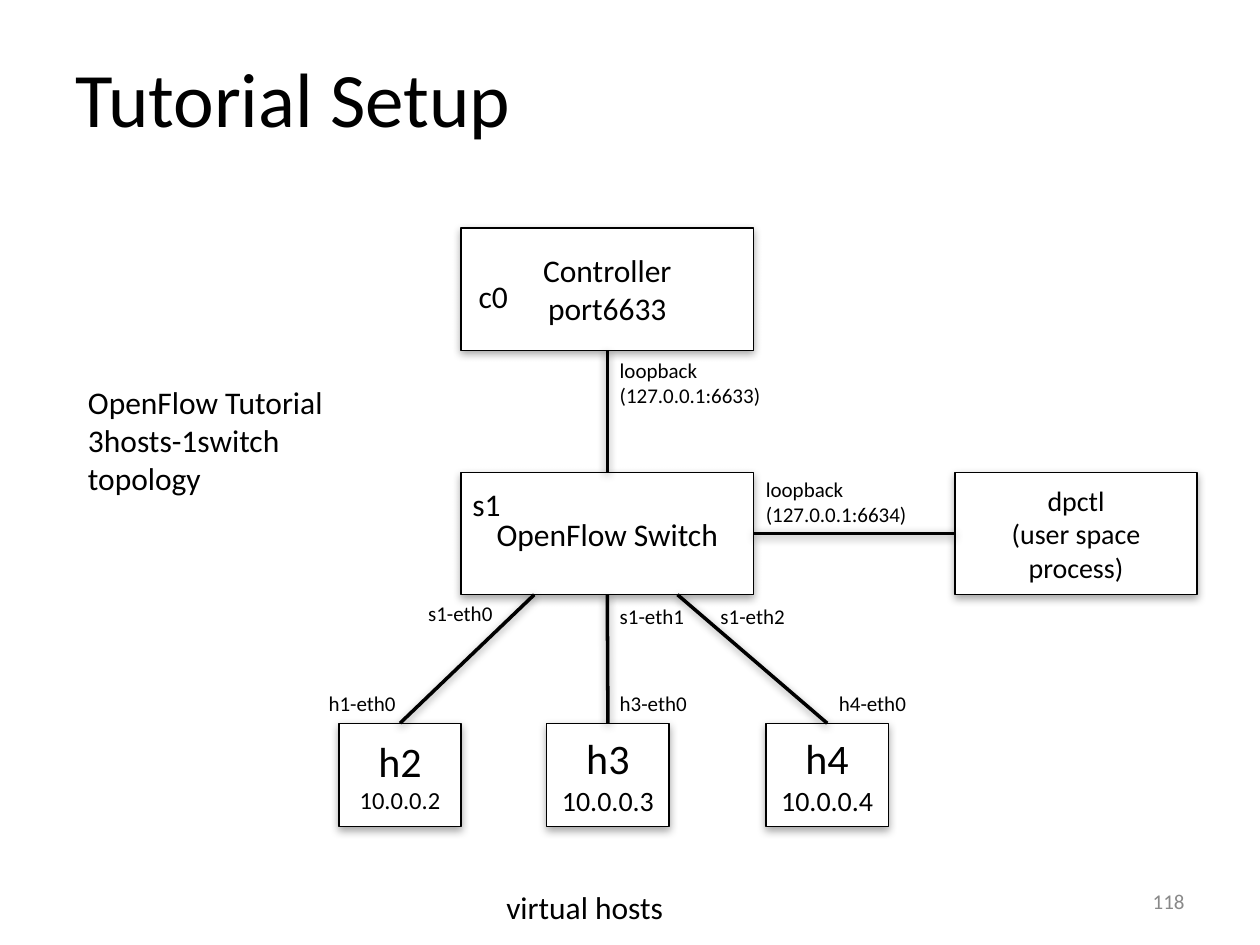
from dataclasses import dataclass

from lxml import etree
from pptx import Presentation
from pptx.dml.color import RGBColor
from pptx.enum.shapes import MSO_CONNECTOR, MSO_SHAPE
from pptx.enum.text import MSO_ANCHOR, PP_ALIGN
from pptx.oxml.ns import qn
from pptx.util import Inches, Pt

RECTANGLE, STRAIGHT = MSO_SHAPE.RECTANGLE, MSO_CONNECTOR.STRAIGHT
LEFT, CENTER, RIGHT = PP_ALIGN.LEFT, PP_ALIGN.CENTER, PP_ALIGN.RIGHT
TOP, MIDDLE = MSO_ANCHOR.TOP, MSO_ANCHOR.MIDDLE

# The slide is a grid of 100 columns by 75 rows
COLUMNS, ROWS = 100, 75
SLIDE_WIDTH, SLIDE_HEIGHT = Inches(10), Inches(7.5)
FONT = "Calibri"
BLACK, WHITE, GRAY = "000000", "FFFFFF", "898989"


@dataclass(frozen=True)
class Line:
    text: str
    size: int


@dataclass(frozen=True)
class Node:
    col: float
    row: float
    cols: float
    rows: float
    lines: tuple[Line, ...]

    def point(self, across: float, down: float) -> tuple[float, float]:
        return self.col + across * self.cols, self.row + down * self.rows


@dataclass(frozen=True)
class Label:
    col: float
    row: float
    cols: float
    rows: float
    lines: tuple[Line, ...]
    color: str = BLACK
    align: PP_ALIGN = LEFT
    anchor: MSO_ANCHOR = TOP


def x(cols: float) -> int:
    return round(SLIDE_WIDTH * cols / COLUMNS)


def y(rows: float) -> int:
    return round(SLIDE_HEIGHT * rows / ROWS)


def rgb(color: str) -> RGBColor:
    return RGBColor.from_string(color)


def lines(size: int, *texts: str) -> tuple[Line, ...]:
    return tuple(Line(text, size) for text in texts)


def add_shadow(shape, distance: float, opacity: int) -> None:
    properties = shape._element.spPr
    effects = etree.SubElement(properties, qn("a:effectLst"))
    shadow = etree.SubElement(
        effects, qn("a:outerShdw"), blurRad=str(Pt(5)),
        dist=str(Pt(distance)), dir="5400000", rotWithShape="0")
    color = etree.SubElement(shadow, qn("a:srgbClr"), val=BLACK)
    etree.SubElement(color, qn("a:alpha"), val=str(opacity * 1000))


def write(frame, content: tuple[Line, ...], color: str, align: PP_ALIGN) -> None:
    frame.word_wrap = True
    for index, line in enumerate(content):
        paragraph = frame.add_paragraph() if index else frame.paragraphs[0]
        paragraph.alignment = align
        run = paragraph.add_run()
        run.text = line.text
        run.font.name = FONT
        run.font.size = Pt(line.size)
        run.font.color.rgb = rgb(color)


def draw_node(slide, node: Node) -> None:
    box = slide.shapes.add_shape(
        RECTANGLE, x(node.col), y(node.row), x(node.cols), y(node.rows))
    box.fill.solid()
    box.fill.fore_color.rgb = rgb(WHITE)
    box.line.color.rgb = rgb(BLACK)
    box.line.width = Pt(0.75)
    add_shadow(box, 1.8, 35)
    box.text_frame.vertical_anchor = MIDDLE
    write(box.text_frame, node.lines, BLACK, CENTER)


def draw_label(slide, label: Label) -> None:
    frame = slide.shapes.add_textbox(
        x(label.col), y(label.row), x(label.cols), y(label.rows)).text_frame
    frame.vertical_anchor = label.anchor
    write(frame, label.lines, label.color, label.align)


def draw_link(slide, start: tuple[float, float], end: tuple[float, float]) -> None:
    link = slide.shapes.add_connector(
        STRAIGHT, x(start[0]), y(start[1]), x(end[0]), y(end[1]))
    link.line.color.rgb = rgb(BLACK)
    link.line.width = Pt(2)
    add_shadow(link, 1.6, 38)


# Network nodes
CONTROLLER = Node(36.6, 18.1, 23.2, 9.7, lines(18, "Controller", "port6633"))
SWITCH = Node(36.6, 37.5, 23.2, 9.7, lines(18, "OpenFlow Switch"))
DPCTL = Node(75.8, 37.5, 19.2, 9.7, lines(16, "dpctl", "(user space process)"))
HOSTS = [
    Node(col, 57.4, 9.7, 8.2, (Line(name, 24), Line(address, size)))
    for col, name, address, size in (
        (26.9, "h2", "10.0.0.2", 14),
        (43.4, "h3", "10.0.0.3", 16),
        (60.8, "h4", "10.0.0.4", 16))
]
SWITCH_PORTS = (0.25, 0.5, 0.74)  # shares of the switch's width

LINKS = [
    (host.point(0.5, 0), SWITCH.point(port, 1))
    for host, port in zip(HOSTS, SWITCH_PORTS)
] + [
    (DPCTL.point(0, 0.5), SWITCH.point(1, 0.5)),
    (SWITCH.point(0.5, 0), CONTROLLER.point(0.5, 1)),
]

# Title, captions, and slide number
LABELS = [
    Label(5, 2.7, 90, 10, lines(44, "Tutorial Setup"), anchor=MIDDLE),
    Label(37, 21.5, 5, 4, lines(18, "c0")),
    Label(36.5, 38, 5, 4, lines(18, "s1")),
    Label(39.2, 70, 16, 4, lines(18, "virtual hosts")),
    Label(6, 29.9, 22, 10,
          lines(18, "OpenFlow Tutorial", "3hosts-1switch", "topology")),
    Label(71.7, 69.5, 23.3, 4, lines(12, "118"), GRAY, RIGHT, MIDDLE),
]

# Loopback addresses and interface names
LABELS += [
    Label(col, row, 14, 5, lines(12, "loopback", address))
    for col, row, address in (
        (48.2, 27.9, "(127.0.0.1:6633)"),
        (59.8, 37.3, "(127.0.0.1:6634)"))
]
LABELS += [
    Label(col, row, 8, 3, lines(12, interface))
    for col, row, interface in (
        (33, 47.2, "s1-eth0"),
        (48.2, 47.4, "s1-eth1"),
        (56.2, 47.4, "s1-eth2"),
        (25.1, 54.3, "h1-eth0"),
        (48.2, 54.3, "h3-eth0"),
        (65.6, 54.3, "h4-eth0"))
]


def main() -> None:
    presentation = Presentation()
    presentation.slide_width = SLIDE_WIDTH
    presentation.slide_height = SLIDE_HEIGHT
    slide = presentation.slides.add_slide(presentation.slide_layouts[6])
    for node in (CONTROLLER, SWITCH, DPCTL, *HOSTS):
        draw_node(slide, node)
    for start, end in LINKS:
        draw_link(slide, start, end)
    for label in LABELS:
        draw_label(slide, label)
    presentation.save("out.pptx")


if __name__ == "__main__":
    main()
